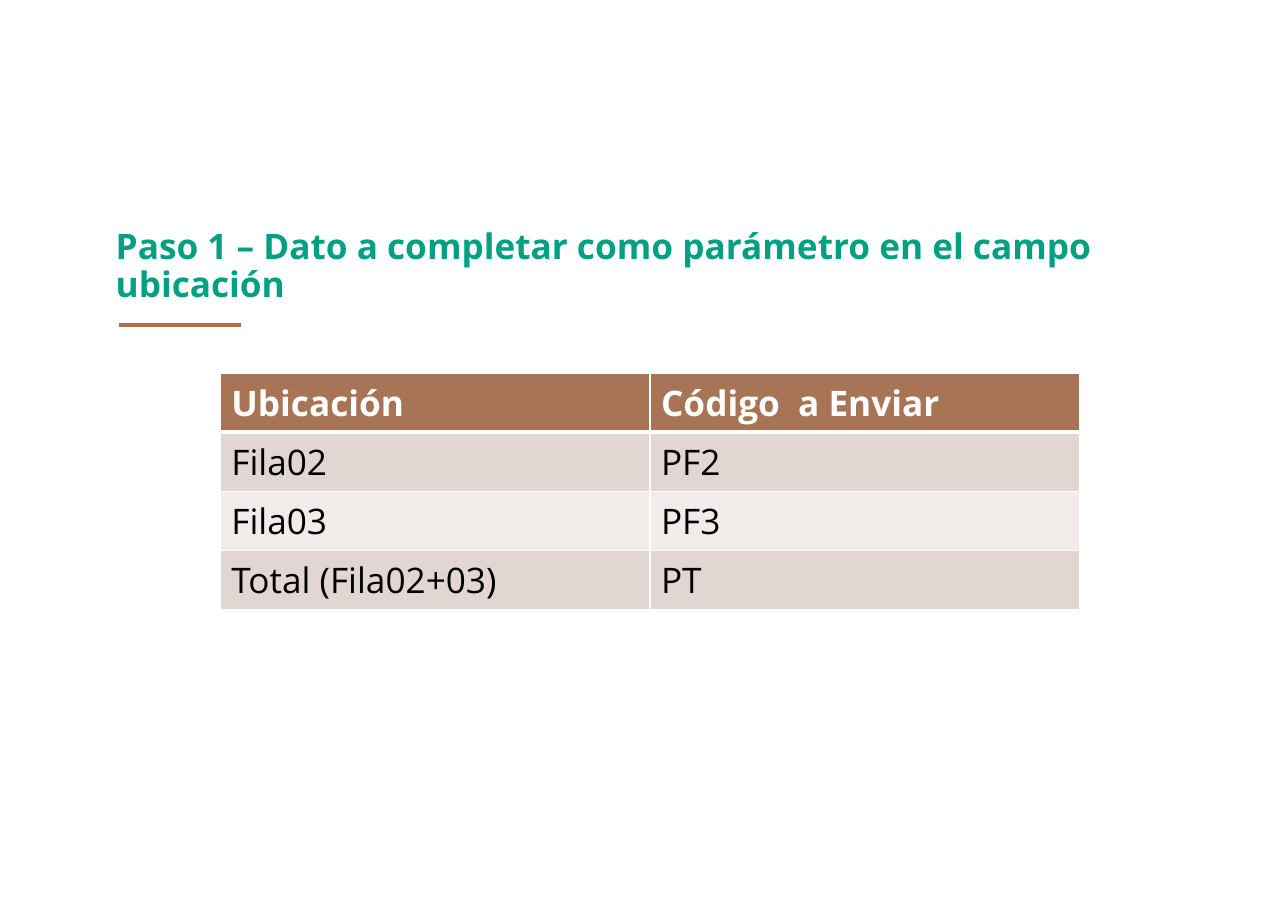
import pptx
import pptx.dml.color
import pptx.enum.shapes
import pptx.enum.text
import pptx.oxml.ns
import pptx.util
from lxml import etree

RGBColor = pptx.dml.color.RGBColor
GREEN = RGBColor(0x00, 0xA0, 0x82)
RULE_BROWN = RGBColor(0xAA, 0x71, 0x4C)
HEADER_BROWN = RGBColor(0xA7, 0x75, 0x56)
BAND_DARK = RGBColor(0xE1, 0xD6, 0xD1)
BAND_LIGHT = RGBColor(0xF1, 0xEC, 0xE9)
WHITE = RGBColor(0xFF, 0xFF, 0xFF)
BLACK = RGBColor(0x00, 0x00, 0x00)

FONT = "Open Sans"
GRID = pptx.util.Inches(0.1)
SLIDE_COLUMNS, SLIDE_ROWS = 116.9, 82.7
TITLE_BOX = (9.2, 19.3, 99.4, 9)
TABLE_BOX = (20, 33.9, 78, 21.3)

TITLE = "Paso 1 – Dato a completar como parámetro en el campo ubicación"
LOCATIONS = [
    ("Ubicación", "Código  a Enviar"),
    ("Fila02", "PF2"),
    ("Fila03", "PF3"),
    ("Total (Fila02+03)", "PT"),
]


def grid(*lengths):
    """Convert grid units to slide lengths."""
    return [round(length * GRID) for length in lengths]


def write(text_frame, text, color=BLACK, size=23, bold=False, line_spacing=1.0):
    """Write one formatted paragraph into a text frame."""
    text_frame.text = text
    paragraph = text_frame.paragraphs[0]
    paragraph.alignment = pptx.enum.text.PP_ALIGN.LEFT
    paragraph.line_spacing = line_spacing
    font = paragraph.runs[0].font
    font.name, font.size, font.bold = FONT, pptx.util.Pt(size), bold
    font.color.rgb = color


def add_title(slide, box):
    """Place the title and the short rule beneath it."""
    left, top, width, height = box
    title = slide.shapes.title
    title.left, title.top, title.width, title.height = grid(*box)
    frame = title.text_frame
    frame.word_wrap = True
    frame.auto_size = pptx.enum.text.MSO_AUTO_SIZE.NONE
    frame.vertical_anchor = pptx.enum.text.MSO_ANCHOR.BOTTOM
    frame.margin_left = frame.margin_right = pptx.util.Inches(0.13)
    frame.margin_top = frame.margin_bottom = pptx.util.Inches(0.06)
    write(frame, TITLE, color=GREEN, bold=True, line_spacing=0.9)

    rule_left, rule_top = left + 1.6, top + height + 1.2
    rule = slide.shapes.add_connector(
        pptx.enum.shapes.MSO_CONNECTOR.STRAIGHT,
        *grid(rule_left, rule_top, rule_left + 11.1, rule_top),
    )
    rule.line.color.rgb = RULE_BROWN
    rule.line.width = pptx.util.Pt(3)
    properties = rule._element.spPr
    etree.SubElement(properties, pptx.oxml.ns.qn("a:effectLst"))


def set_borders(cell, **widths):
    """Draw white borders of the given point widths on a cell's sides."""
    properties = cell._tc.get_or_add_tcPr()
    for side, width in widths.items():
        border = etree.SubElement(properties, pptx.oxml.ns.qn(f"a:ln{side}"))
        border.set("w", str(pptx.util.Pt(width)))
        fill = etree.SubElement(border, pptx.oxml.ns.qn("a:solidFill"))
        etree.SubElement(fill, pptx.oxml.ns.qn("a:srgbClr")).set("val", str(WHITE))


def add_location_table(slide, box):
    """Place the table of locations and their codes."""
    row_count, column_count = len(LOCATIONS), len(LOCATIONS[0])
    table = slide.shapes.add_table(row_count, column_count, *grid(*box)).table
    for row, texts in enumerate(LOCATIONS):
        header = row == 0
        fill = HEADER_BROWN if header else (BAND_LIGHT, BAND_DARK)[row % 2]
        for column, text in enumerate(texts):
            cell = table.cell(row, column)
            set_borders(cell, L=1, R=1, T=3 if row == 1 else 1, B=3 if header else 1)
            cell.fill.solid()
            cell.fill.fore_color.rgb = fill
            write(cell.text_frame, text, color=WHITE if header else BLACK, bold=header)


def main():
    """Build and save the presentation."""
    presentation = pptx.Presentation()
    presentation.slide_width, presentation.slide_height = grid(SLIDE_COLUMNS, SLIDE_ROWS)
    slide = presentation.slides.add_slide(presentation.slide_layouts.get_by_name("Title Only"))
    add_title(slide, TITLE_BOX)
    add_location_table(slide, TABLE_BOX)
    presentation.save("out.pptx")


if __name__ == "__main__":
    main()
